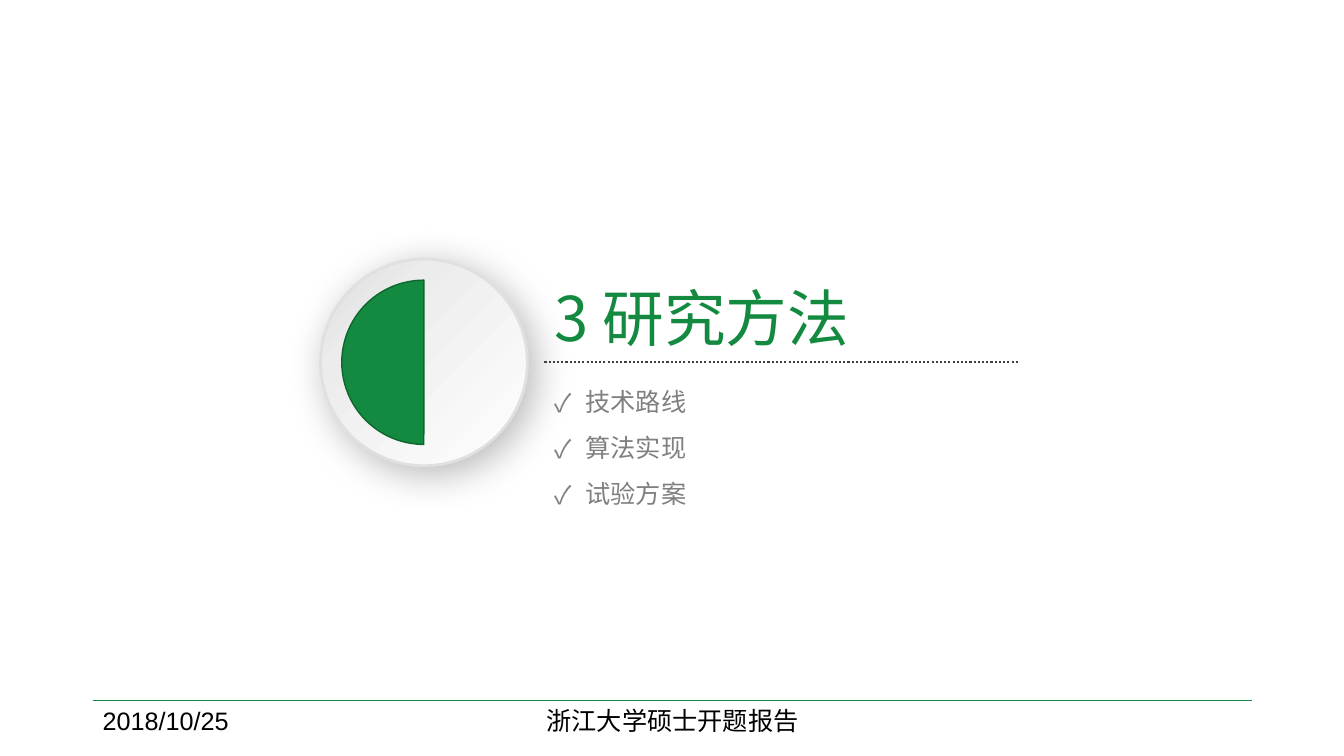
from lxml import etree
from pptx import Presentation, oxml
from pptx.dml.color import RGBColor
from pptx.enum import dml, shapes, text
from pptx.oxml.ns import nsdecls, qn
from pptx.util import Inches, Pt

GREEN = RGBColor(0x13, 0x8A, 0x40)
DARK = RGBColor(0x0E, 0x66, 0x2F)
GRAY = RGBColor(0x80, 0x80, 0x80)
RULE = RGBColor(0x40, 0x40, 0x40)
RIM = RGBColor(0xE0, 0xE0, 0xE0)
BLACK = RGBColor(0, 0, 0)
SANS = "Noto Sans CJK SC"
STOPS = ((0, "FFFFFF"), (73, "ECECEC"), (100, "D9D9D9"))


def write(shape, words, size=18, color=BLACK, font=SANS, align="LEFT", wrap=True, bullet=None):
    frame = shape.text_frame
    frame.word_wrap = wrap
    frame.auto_size = text.MSO_AUTO_SIZE.NONE if wrap else text.MSO_AUTO_SIZE.SHAPE_TO_FIT_TEXT
    frame.vertical_anchor = text.MSO_ANCHOR.TOP
    para = frame.paragraphs[0]
    para.alignment = getattr(text.PP_ALIGN, align)
    if bullet:
        props = para._p.get_or_add_pPr()
        props.set("marL", str(Inches(0.31)))
        props.set("indent", str(-Inches(0.31)))
        etree.SubElement(props, qn("a:buFont")).set("typeface", SANS)
        etree.SubElement(props, qn("a:buChar")).set("char", bullet)
    run = para.add_run()
    run.text = words
    run.font.size = Pt(size)
    run.font.name = font
    run.font.color.rgb = color
    east = etree.Element(qn("a:ea"), typeface=SANS)
    run._r.rPr.find(qn("a:latin")).addnext(east)


def box(slide, x, y, w, h, words, **style):
    shape = slide.shapes.add_textbox(Inches(x), Inches(y), Inches(w), Inches(h))
    write(shape, words, **style)


def rule(slide, x, y, w, color, weight, dash=None):
    line = slide.shapes.add_connector(
        shapes.MSO_CONNECTOR.STRAIGHT, Inches(x), Inches(y), Inches(x + w), Inches(y))
    line.line.color.rgb = color
    line.line.width = Pt(weight)
    if dash:
        line.line.dash_style = dash
    etree.SubElement(line._element.spPr, qn("a:effectLst"))


def disc(slide, kind, x, y, size, color, weight):
    shape = slide.shapes.add_shape(kind, Inches(x), Inches(y), Inches(size), Inches(size))
    shape.shadow.inherit = False
    shape.line.color.rgb = color
    shape.line.width = Pt(weight)
    return shape


def badge(slide, x, y, size):
    """Draw the raised round button with its green half."""
    plate = disc(slide, shapes.MSO_SHAPE.OVAL, x, y, size, RIM, 2)
    plate.rotation = 180
    stops = "".join(f'<a:gs pos="{pos * 1000}"><a:srgbClr val="{val}"/></a:gs>'
                    for pos, val in STOPS)
    grad = oxml.parse_xml(
        f'<a:gradFill {nsdecls("a")} rotWithShape="1"><a:gsLst>{stops}</a:gsLst>'
        '<a:lin ang="2700000" scaled="0"/></a:gradFill>')
    props = plate._element.spPr
    props.find(qn("a:prstGeom")).addnext(grad)
    props.find(qn("a:effectLst")).append(oxml.parse_xml(
        f'<a:outerShdw {nsdecls("a")} blurRad="{Pt(28)}" dist="{Pt(7)}" dir="2700000" '
        'algn="tl" rotWithShape="0"><a:srgbClr val="000000"><a:alpha val="28000"/>'
        '</a:srgbClr></a:outerShdw>'))

    gap = 0.21
    half = disc(slide, shapes.MSO_SHAPE.PIE, x + gap, y + gap, size - 2 * gap, DARK, 1)
    half.adjustments[0] = 54.06
    half.adjustments[1] = 162
    half.fill.solid()
    half.fill.fore_color.rgb = GREEN


def heading(slide, x, y):
    title = slide.shapes.title
    title.left, title.top = Inches(x), Inches(y)
    title.width, title.height = Inches(3.29), Inches(0.84)
    write(title, "3 研究方法", size=44, color=GREEN, wrap=False)
    rule(slide, x, y + 0.86, 4.71, RULE, 1.5, dml.MSO_LINE.ROUND_DOT)


def topics(slide, x, y, items):
    for i, item in enumerate(items):
        box(slide, x, y + 0.46 * i, 1.53, 0.4, item, color=GRAY, wrap=False, bullet="✓")


def footer(slide, x, y, w):
    rule(slide, x, y, w, GREEN, 0.75)
    box(slide, x, y, 3, 0.4, "2018/10/25", font="Arial")
    box(slide, x + 3.5, y, 4.5, 0.4, "浙江大学硕士开题报告", font="Arial", align="CENTER")


def main():
    deck = Presentation()
    deck.slide_width, deck.slide_height = Inches(13.33), Inches(7.5)
    slide = deck.slides.add_slide(deck.slide_layouts[5])
    badge(slide, 3.18, 2.57, 2.05)
    heading(slide, 5.4, 2.73)
    topics(slide, 5.4, 3.78, ("技术路线", "算法实现", "试验方案"))
    footer(slide, 0.92, 6.95, 11.5)
    deck.save("out.pptx")


if __name__ == "__main__":
    main()
